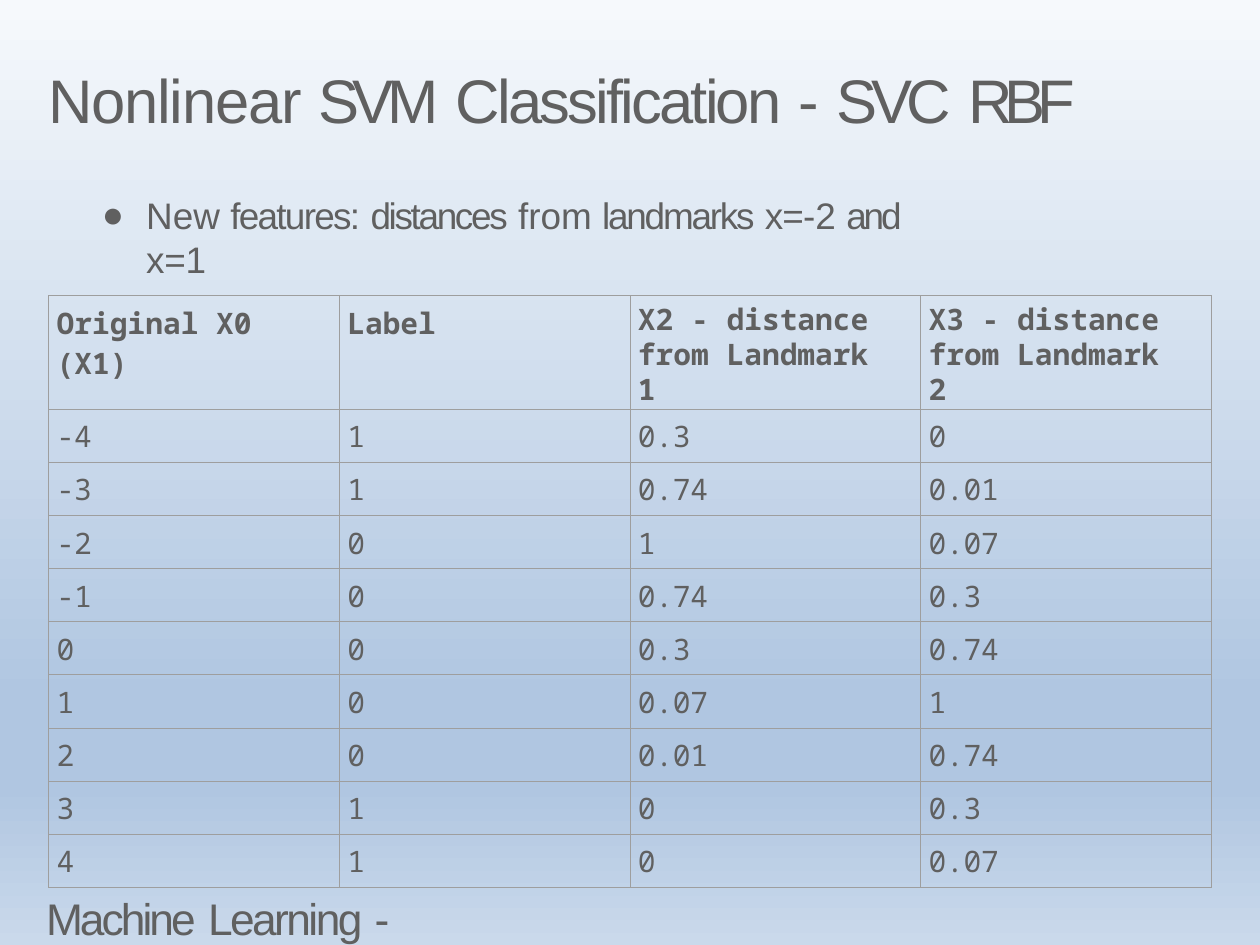
"""Build the slide on nonlinear SVM classification with an RBF kernel."""
from lxml import etree
from pptx import Presentation
from pptx.dml.color import RGBColor
from pptx.enum.text import MSO_AUTO_SIZE
from pptx.oxml.ns import qn
from pptx.util import Inches, Pt

GROW = MSO_AUTO_SIZE.SHAPE_TO_FIT_TEXT
GREY = RGBColor(0x60, 0x60, 0x60)
BORDER = RGBColor(0x9E, 0x9E, 0x9E)
SKY = [
    (0, RGBColor(0xF6, 0xF9, 0xFC)),
    (74, RGBColor(0xB0, 0xC6, 0xE1)),
    (83, RGBColor(0xB0, 0xC6, 0xE1)),
    (100, RGBColor(0xCA, 0xD9, 0xEB)),
]

TITLE = [("Nonlinear ", -1.1), ("SVM ", -5.5), ("Classification ", -2.3),
         ("- ", 0), ("SVC ", -4.8), ("RBF", -6.7)]
FEATURES = [("New ", 0), ("features: ", -1.4), ("distances ", -1.9),
            ("from ", 0), ("landmarks ", -1.8), ("x=-", -0.7), ("2 ", 0),
            ("and ", -2.5), ("x=1", -0.2)]
COURSE = [("Machine ", -2.4), ("Learning ", -2.1), ("-", 0)]
HEADINGS = ["Original X0 (X1)", "Label",
            "X2 - distance from Landmark 1", "X3 - distance from Landmark 2"]
SAMPLES = [
    ("-4", "1", "0.3", "0"),
    ("-3", "1", "0.74", "0.01"),
    ("-2", "0", "1", "0.07"),
    ("-1", "0", "0.74", "0.3"),
    ("0", "0", "0.3", "0.74"),
    ("1", "0", "0.07", "1"),
    ("2", "0", "0.01", "0.74"),
    ("3", "1", "0", "0.3"),
    ("4", "1", "0", "0.07"),
]

TITLE_AREA = (0.55, 0.69, 12.52, 0.86)
FEATURES_AREA = (1.13, 2.16, 9.72, 0.53)
COURSE_AREA = (0.52, 10.02, 4.91, 0.72)
TABLE_LEFT, TABLE_TOP = 0.55, 3.34
COLUMN_WIDTH, HEADING_HEIGHT, SAMPLE_HEIGHT = 3.28, 1.28, 0.6

FRAME_FORMAT = {"margin_left": 0, "margin_right": 0, "margin_bottom": 0,
                "word_wrap": True, "auto_size": GROW}
CELL_FORMAT = {"margin_left": Inches(0.09), "margin_right": 0,
               "margin_top": Inches(0.08), "margin_bottom": 0}
DISTANCE_CELL_FORMAT = {**CELL_FORMAT, "margin_right": Inches(0.4),
                        "margin_top": Inches(0.09)}
DISTANCE_FORMAT = {"space_before": Pt(7), "line_spacing": Pt(28.5)}
PLAIN_FORMAT = {"space_before": Pt(5.8)}
TITLE_FONT = {"name": "Arial", "size": Pt(50)}
FEATURES_FONT = {"name": "Arial", "size": Pt(30)}
COURSE_FONT = {"name": "Arial", "size": Pt(36)}
HEADING_FONT = {"name": "Noto Sans Mono", "size": Pt(24), "bold": True}
SAMPLE_FONT = {**HEADING_FONT, "bold": False}


def apply(target, values):
    for name, value in values.items():
        setattr(target, name, value)


def add_run(paragraph, words, tracking, font):
    run = paragraph.add_run()
    run.text = words
    apply(run.font, font)
    run.font.color.rgb = GREY
    run.font._element.set("spc", str(round(tracking * 100)))


def write(paragraph, pieces, font):
    for words, tracking in pieces:
        add_run(paragraph, words.rstrip(), tracking, font)
        if words.endswith(" "):
            add_run(paragraph, " ", 0, font)


def add_line_of_text(slide, area, pieces, font, top, before):
    frame = slide.shapes.add_textbox(*map(Inches, area)).text_frame
    apply(frame, {**FRAME_FORMAT, "margin_top": Inches(top)})
    paragraph = frame.paragraphs[0]
    paragraph.space_before = Pt(before)
    write(paragraph, pieces, font)
    return paragraph


def add_bullet(paragraph):
    properties = paragraph._p.get_or_add_pPr()
    properties.set("marL", str(Inches(0.52)))
    properties.set("indent", str(Inches(-0.5)))
    etree.SubElement(properties, qn("a:buFont"), typeface="Arial")
    etree.SubElement(properties, qn("a:buChar"), char="●")


def paint_background(slide):
    fill = slide.background.fill
    fill.gradient()
    fill.gradient_angle = 270
    stops = next(slide.element.iter(qn("a:gsLst")))
    for stop in list(stops):
        stops.remove(stop)
    for position, color in SKY:
        stop = etree.SubElement(stops, qn("a:gs"), pos=str(position * 1000))
        etree.SubElement(stop, qn("a:srgbClr"), val=str(color))


def add_borders(cell):
    properties = cell._tc.get_or_add_tcPr()
    for order, side in enumerate(("lnL", "lnR", "lnT", "lnB")):
        line = etree.Element(qn(f"a:{side}"), w=str(Pt(0.75)))
        solid = etree.SubElement(line, qn("a:solidFill"))
        etree.SubElement(solid, qn("a:srgbClr"), val=str(BORDER))
        properties.insert(order, line)


def add_distances(slide):
    rows = [HEADINGS, *SAMPLES]
    heights = [HEADING_HEIGHT] + [SAMPLE_HEIGHT] * len(SAMPLES)
    area = (TABLE_LEFT, TABLE_TOP, COLUMN_WIDTH * len(HEADINGS), sum(heights))
    table = slide.shapes.add_table(
        len(rows), len(HEADINGS), *map(Inches, area)).table
    apply(table, {"first_row": False, "horz_banding": False})
    for column in table.columns:
        column.width = Inches(COLUMN_WIDTH)
    for r, (values, height) in enumerate(zip(rows, heights)):
        table.rows[r].height = Inches(height)
        for c, value in enumerate(values):
            cell = table.cell(r, c)
            distance_heading = r == 0 and c >= 2
            apply(cell, DISTANCE_CELL_FORMAT if distance_heading else CELL_FORMAT)
            cell.fill.background()
            add_borders(cell)
            paragraph = cell.text_frame.paragraphs[0]
            apply(paragraph, DISTANCE_FORMAT if distance_heading else PLAIN_FORMAT)
            tracking = 0 if r == 0 else -0.5 if len(value) == 1 else -0.2
            write(paragraph, [(value, tracking)],
                  HEADING_FONT if r == 0 else SAMPLE_FONT)


def main():
    deck = Presentation()
    apply(deck, {"slide_width": Inches(14.22), "slide_height": Inches(10.67)})
    slide = deck.slides.add_slide(deck.slide_layouts[6])
    paint_background(slide)
    add_line_of_text(slide, TITLE_AREA, TITLE, TITLE_FONT, 0.01, 1)
    add_line_of_text(slide, COURSE_AREA, COURSE, COURSE_FONT, 0.04, 2.6)
    add_bullet(add_line_of_text(
        slide, FEATURES_AREA, FEATURES, FEATURES_FONT, 0.01, 1))
    add_distances(slide)
    deck.save("out.pptx")


if __name__ == "__main__":
    main()
